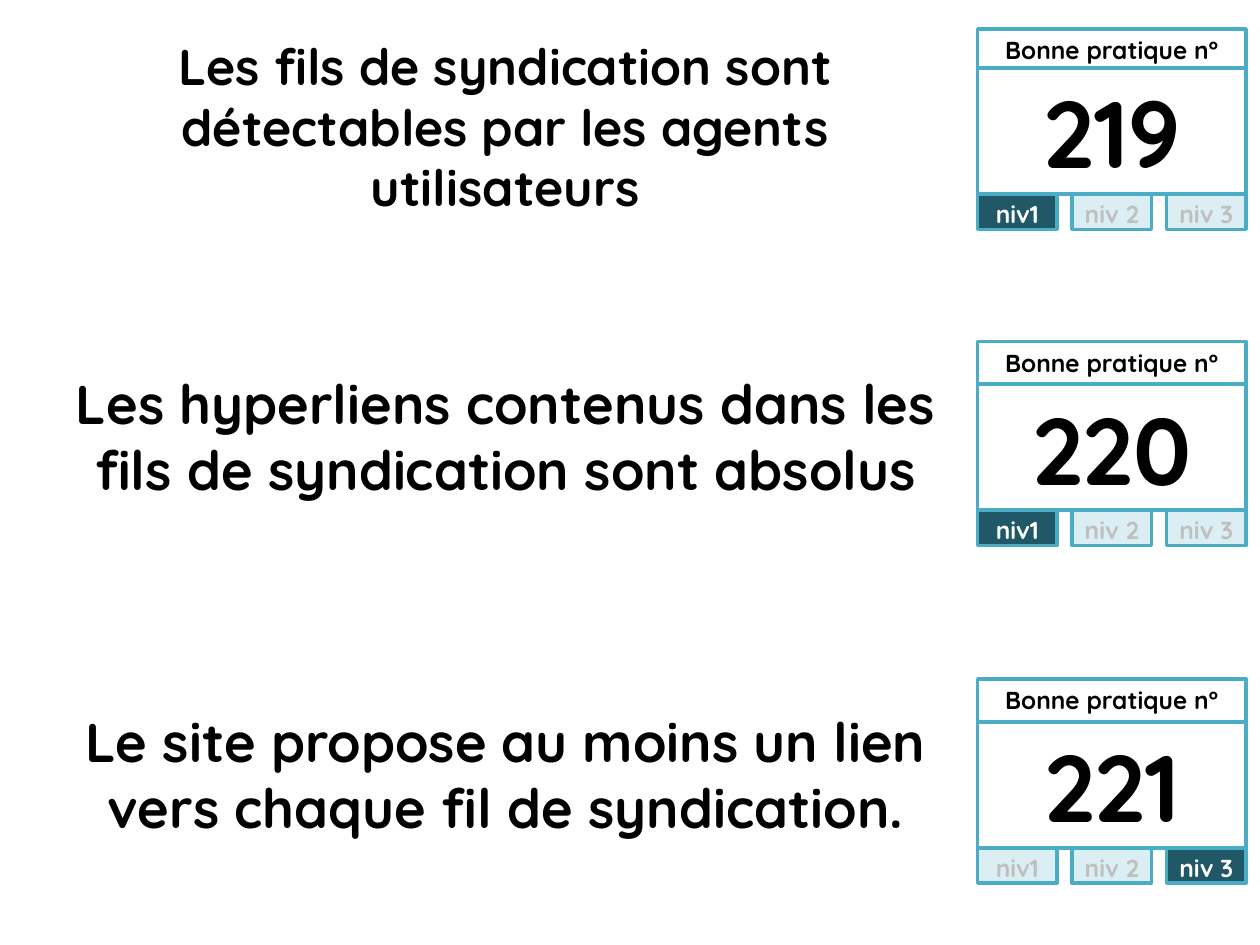
from pptx import Presentation
from pptx.dml.color import RGBColor
from pptx.enum.shapes import MSO_SHAPE as Shape
from pptx.enum.text import MSO_ANCHOR as Anchor, MSO_AUTO_SIZE as AutoSize, PP_ALIGN as Align
from pptx.util import Inches, Pt

FONT = "Quicksand"
BLACK, WHITE, GREY = "000000", "FFFFFF", "BFBFBF"
BORDER, ACTIVE, INACTIVE = "4BACC6", "205867", "DAEEF3"

TEXT_LEFT, TEXT_WIDTH = 0.5, 7.02
CARD_LEFT, CARD_WIDTH = 7.76, 2.13
NUMBER_HEIGHT = 1
LEVEL_WIDTH, LEVEL_HEIGHT = 0.63, 0.28
LEVEL_STEP = (CARD_WIDTH - LEVEL_WIDTH) / 2
LEVELS = ["niv1", "niv 2", "niv 3"]

# wording, text top, text height, text size, number, card top, header height, active level
PRACTICES = [
    ("Les fils de syndication sont détectables par les agents utilisateurs",
     0.23, 1.25, 28.8, "219", 0.23, 0.31, 0),
    ("Les hyperliens contenus dans les fils de syndication sont absolus",
     2.89, 1.49, 31.2, "220", 2.71, 0.34, 0),
    ("Le site propose au moins un lien vers chaque fil de syndication.",
     5.57, 1.17, 31.2, "221", 5.39, 0.34, 2),
]


def rgb(value):
    return RGBColor.from_string(value)


def write(box, text, size, color=BLACK, anchor=Anchor.TOP, margins=(0.1, 0.05)):
    frame = box.text_frame
    frame.word_wrap = True
    frame.auto_size = AutoSize.NONE
    frame.vertical_anchor = anchor
    frame.margin_left = frame.margin_right = Inches(margins[0])
    frame.margin_top = frame.margin_bottom = Inches(margins[1])
    frame.text = text
    para = frame.paragraphs[0]
    para.alignment = Align.CENTER
    para.font.name = FONT
    para.font.size = Pt(size)
    para.font.bold = True
    para.font.color.rgb = rgb(color)


def add_frame(page, left, top, width, height, fill=WHITE):
    """Add a bordered rectangle."""
    box = page.shapes.add_shape(
        Shape.RECTANGLE, Inches(left), Inches(top), Inches(width), Inches(height))
    box.shadow.inherit = False
    box.fill.solid()
    box.fill.fore_color.rgb = rgb(fill)
    box.line.color.rgb = rgb(BORDER)
    box.line.width = Pt(2)
    return box


def add_card(page, number, top, header_height, active):
    """Add the header, the number and the three level tabs of a practice."""
    header = add_frame(page, CARD_LEFT, top, CARD_WIDTH, header_height)
    write(header, "Bonne pratique n°", 14)

    number_top = top + header_height
    level_top = number_top + NUMBER_HEIGHT
    for index, label in enumerate(LEVELS):
        chosen = index == active
        level = add_frame(page, CARD_LEFT + index * LEVEL_STEP, level_top,
                          LEVEL_WIDTH, LEVEL_HEIGHT, ACTIVE if chosen else INACTIVE)
        write(level, label, 14, WHITE if chosen else GREY, margins=(0.04, 0.04))

    box = add_frame(page, CARD_LEFT, number_top, CARD_WIDTH, NUMBER_HEIGHT)
    write(box, number, 54, anchor=Anchor.MIDDLE)


def add_wording(page, text, top, height, size, is_title):
    place = [Inches(value) for value in (TEXT_LEFT, top, TEXT_WIDTH, height)]
    if is_title:
        box = page.shapes.title
        box.left, box.top, box.width, box.height = place
    else:
        box = page.shapes.add_textbox(*place)
    write(box, text, size)


def main():
    deck = Presentation()
    deck.slide_width, deck.slide_height = Inches(10), Inches(7.5)
    page = deck.slides.add_slide(deck.slide_layouts[5])
    for index, practice in enumerate(PRACTICES):
        text, text_top, text_height, size, *card = practice
        add_wording(page, text, text_top, text_height, size, is_title=index == 0)
        add_card(page, *card)
    deck.save("out.pptx")


if __name__ == "__main__":
    main()
